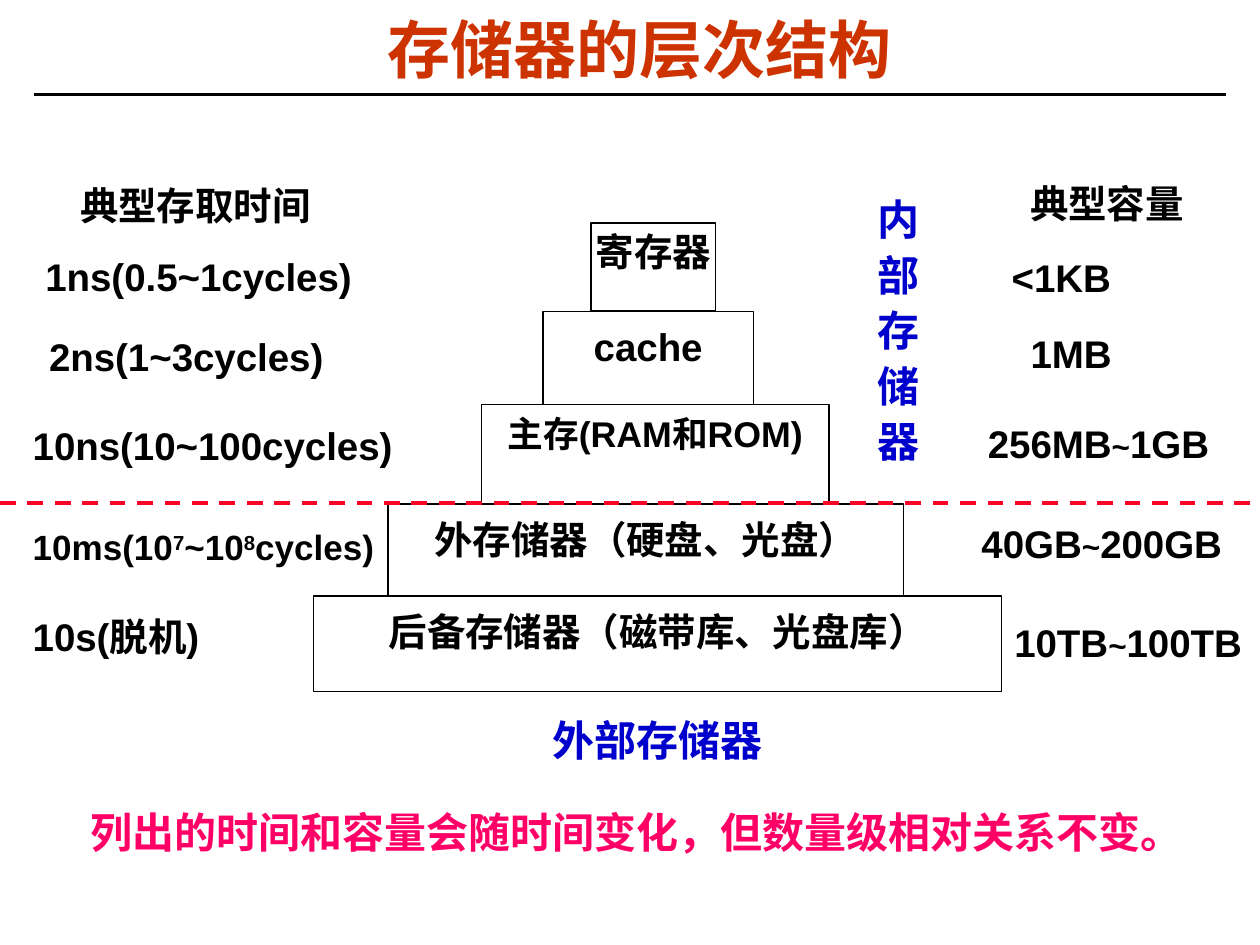
"""Build a slide showing the memory hierarchy with access times and capacities."""
from lxml.etree import SubElement
from pptx import Presentation
from pptx.dml.color import RGBColor
from pptx.enum.dml import MSO_LINE
from pptx.enum.shapes import MSO_CONNECTOR, MSO_SHAPE
from pptx.enum.text import MSO_ANCHOR, MSO_AUTO_SIZE, PP_ALIGN as ALIGN
from pptx.oxml.ns import qn
from pptx.util import Pt

PX = 9144
COLORS = {"ink": "000000", "paper": "FFFFFF", "title": "CC3300",
          "group": "0000CC", "divider": "FC0128", "note": "FF0066"}


def write(shape, pieces, size=22, color="ink", align=ALIGN.CENTER,
          inset=(13, 0), spacing=1.1, font="Arial"):
    """Fill a shape with one bold paragraph; a piece is (text, size, baseline)."""
    frame = shape.text_frame
    frame.word_wrap = True
    frame.margin_left = frame.margin_right = inset[0] * PX
    frame.margin_top = frame.margin_bottom = inset[1] * PX
    para = frame.paragraphs[0]
    para.alignment = align
    para.line_spacing = spacing
    para.font.name = font
    para.font.size = Pt(size)
    para.font.bold = True
    para.font.color.rgb = RGBColor.from_string(COLORS[color])
    for text, piece_size, baseline in pieces:
        span = para.add_run()
        span.text = text
        if piece_size:
            span.font.size = Pt(piece_size)
        if baseline:
            span._r.get_or_add_rPr().set("baseline", str(baseline))
    return frame


def draw_line(left, right, y, color, width):
    """Draw a horizontal line without a shadow."""
    line = slide.shapes.add_connector(
        MSO_CONNECTOR.STRAIGHT, left * PX, y * PX, right * PX, y * PX)
    line.line.color.rgb = RGBColor.from_string(COLORS[color])
    line.line.width = Pt(width)
    SubElement(line._element.spPr, qn("a:effectLst"))
    return line


deck = Presentation()
deck.slide_width, deck.slide_height = 1000 * PX, 750 * PX
slide = deck.slides.add_slide(deck.slide_layouts[5])

draw_line(27, 973, 75, "ink", 1.5)
title = slide.shapes.title
title.left, title.top, title.width, title.height = 26 * PX, 12 * PX, 963 * PX, 62 * PX
frame = write(title, [("存储器的层次结构", None, 0)], 36, "title",
              inset=(10, 5), spacing=0.87)
frame.vertical_anchor = MSO_ANCHOR.MIDDLE
frame.auto_size = MSO_AUTO_SIZE.NONE

levels = [
    ("cache", 431, 247, 167, 76, 22, 1.1, (13, 6)),
    ("主存(RAM和ROM)", 382, 321, 276, 79, 20.4, 1.0, (13, 6)),
    ("外存储器（硬盘、光盘）", 308, 400, 409, 76, 22, 1.1, (13, 6)),
    ("后备存储器（磁带库、光盘库）", 249, 473, 546, 76, 22, 1.1, (13, 6)),
    ("寄存器", 469, 177, 99, 70, 22, 1.1, (0, 0)),
]
for text, left, top, width, height, size, spacing, inset in levels:
    level = slide.shapes.add_shape(
        MSO_SHAPE.RECTANGLE, left * PX, top * PX, width * PX, height * PX)
    level.shadow.inherit = False
    level.fill.solid()
    level.fill.fore_color.rgb = RGBColor.from_string(COLORS["paper"])
    level.line.color.rgb = RGBColor.from_string(COLORS["ink"])
    level.line.width = Pt(0.75)
    frame = write(level, [(text, None, 0)], size, inset=inset, spacing=spacing)
    frame.vertical_anchor = MSO_ANCHOR.TOP

divider = draw_line(0, 994, 399, "divider", 2.25)
divider.line.dash_style = MSO_LINE.DASH

groups = [("内部存储器", 677, 144, 72, 236), ("外部存储器", 406, 557, 231, 107)]
for text, left, top, width, height in groups:
    box = slide.shapes.add_textbox(left * PX, top * PX, width * PX, height * PX)
    write(box, [(text, None, 0)], 24, "group", inset=(13, 6), font="Times New Roman")

headings = [("典型容量", 790, 139, 177), ("典型存取时间", 31, 141, 248)]
for text, left, top, width in headings:
    box = slide.shapes.add_textbox(left * PX, top * PX, width * PX, 71 * PX)
    write(box, [(text, None, 0)])

capacities = [
    ("<1KB", 790, 198, 167, 13),
    ("1MB", 805, 258, 167, 13),
    ("256MB~1GB", 771, 330, 205, 13),
    ("40GB~200GB", 766, 409, 234, 13),
    ("10TB~100TB", 805, 488, 192, 0),
]
for text, left, top, width, margin in capacities:
    box = slide.shapes.add_textbox(left * PX, top * PX, width * PX, 71 * PX)
    pieces = [(part, 18 if part == "~" else None, 0)
              for part in text.partition("~") if part]
    write(box, pieces, align=ALIGN.JUSTIFY, inset=(margin, 0))

access_times = [
    ("1ns(0.5~1cycles)", 23, 197, 285, 22),
    ("2ns(1~3cycles)", 26, 261, 340, 22),
    ("10ns(10~100cycles)", 13, 331, 320, 22),
    ("10ms(10^7^~10^8^cycles)", 13, 414, 335, 20),
    ("10s(脱机)", 13, 483, 207, 22),
]
for text, left, top, width, size in access_times:
    box = slide.shapes.add_textbox(left * PX, top * PX, width * PX, 71 * PX)
    pieces = [(part, None, 30000 * (index % 2))
              for index, part in enumerate(text.split("^"))]
    write(box, pieces, size, align=ALIGN.JUSTIFY)

note = slide.shapes.add_textbox(72 * PX, 640 * PX, 896 * PX, 40 * PX)
write(note, [("列出的时间和容量会随时间变化，但数量级相对关系不变。", None, 0)],
      24, "note", ALIGN.LEFT, inset=(0, 0), spacing=1.0)

deck.save("out.pptx")
